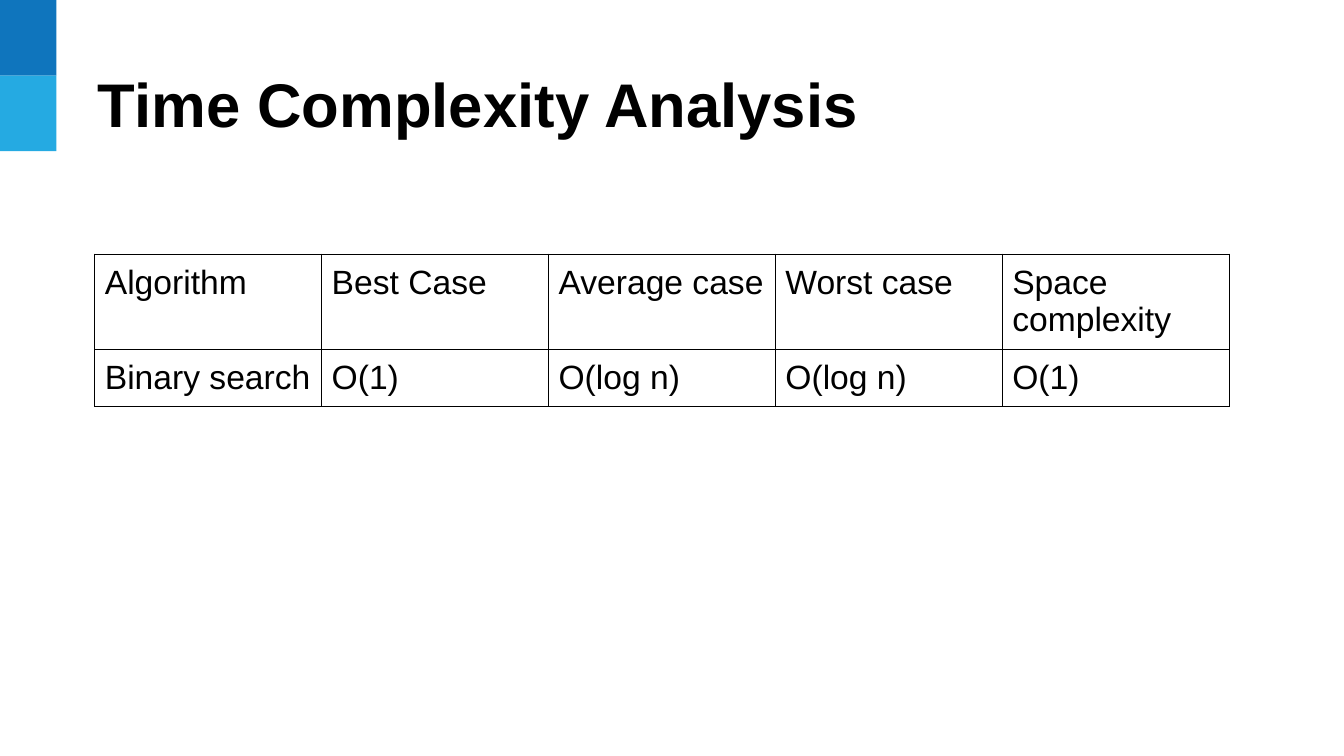
"""Build the time complexity slide with its comparison table."""
import dataclasses

import pptx
import pptx.dml.color
import pptx.enum.shapes
import pptx.enum.text
import pptx.oxml
import pptx.oxml.ns
import pptx.util
from pptx.util import Inches


@dataclasses.dataclass(frozen=True)
class Theme:
    font: str = "Arial"
    text: str = "000000"
    border: str = "000000"
    accents: tuple = ("0F75BD", "25AAE2")
    title_size: int = 44
    cell_size: int = 24
    border_width: float = 0.75


theme = Theme()


def set_font(p, size, bold=False):
    p.font.name = theme.font
    p.font.size = pptx.util.Pt(size)
    p.font.bold = bold
    p.font.color.rgb = pptx.dml.color.RGBColor.from_string(theme.text)


def set_borders(cell):
    tc_pr = cell._tc.get_or_add_tcPr()
    width = int(pptx.util.Pt(theme.border_width))
    for side in ("L", "R", "T", "B"):
        tc_pr.append(pptx.oxml.parse_xml(
            f'<a:ln{side} {pptx.oxml.ns.nsdecls("a")} w="{width}"><a:solidFill>'
            f'<a:srgbClr val="{theme.border}"/></a:solidFill></a:ln{side}>'))


prs = pptx.Presentation()
prs.slide_width, prs.slide_height = Inches(13.33), Inches(7.5)
s = prs.slides.add_slide(prs.slide_layouts[5])

for i, color in enumerate(theme.accents):
    sp = s.shapes.add_shape(pptx.enum.shapes.MSO_SHAPE.RECTANGLE,
                            0, Inches(0.75 * i), Inches(0.56), Inches(0.75))
    sp.shadow.inherit = False
    sp.fill.solid()
    sp.fill.fore_color.rgb = pptx.dml.color.RGBColor.from_string(color)
    sp.line.fill.background()

title = s.shapes.title
title.left, title.top = Inches(0.87), Inches(0.57)
title.width, title.height = Inches(8.75), Inches(0.9)
tf = title.text_frame
tf.text = "Time Complexity Analysis"
tf.word_wrap = True
tf.auto_size = pptx.enum.text.MSO_AUTO_SIZE.NONE
tf.vertical_anchor = pptx.enum.text.MSO_ANCHOR.MIDDLE
p = tf.paragraphs[0]
p.alignment = pptx.enum.text.PP_ALIGN.LEFT
set_font(p, theme.title_size, bold=True)

rows = [
    ["Algorithm", "Best Case", "Average case", "Worst case", "Space complexity"],
    ["Binary search", "O(1)", "O(log n)", "O(log n)", "O(1)"],
]
col_width, row_height = 2.25, 0.42
table = s.shapes.add_table(
    len(rows), len(rows[0]), Inches(0.94), Inches(2.52),
    Inches(col_width * len(rows[0])), Inches(row_height * len(rows))).table
table.first_row = False
table.horz_banding = False
for r, row in enumerate(rows):
    for c, text in enumerate(row):
        cell = table.cell(r, c)
        cell.text = text
        cell.margin_left = cell.margin_right = Inches(0.1)
        cell.margin_top = cell.margin_bottom = Inches(0.1)
        set_font(cell.text_frame.paragraphs[0], theme.cell_size)
        set_borders(cell)
        cell.fill.background()

prs.save("out.pptx")
